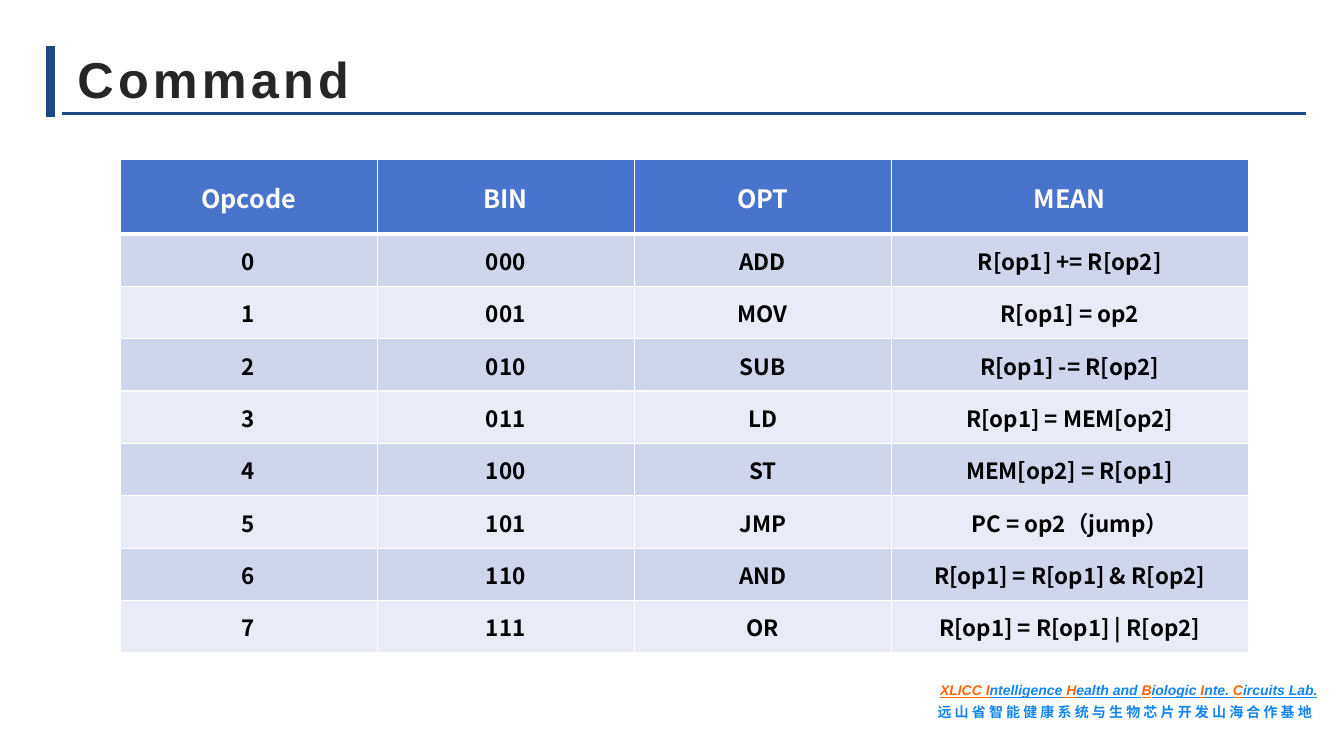
from lxml import etree
from pptx import Presentation
from pptx import util as u
from pptx.dml.color import RGBColor
from pptx.enum import shapes, text
from pptx.oxml.ns import qn

NAVY = RGBColor(0x1C, 0x48, 0x85)
INK = RGBColor(0x26, 0x26, 0x26)
ORANGE = RGBColor(0xFF, 0x66, 0x00)
SKY = RGBColor(0x11, 0x85, 0xEF)
WHITE = RGBColor(0xFF, 0xFF, 0xFF)
BLACK = RGBColor(0, 0, 0)
HEADER = RGBColor(0x48, 0x74, 0xCB)
BANDS = [RGBColor(0xE9, 0xEB, 0xF6), RGBColor(0xCF, 0xD6, 0xEC)]
SANS, CJK = "Arial", "Noto Sans CJK SC"

COLUMNS = [2.55, 2.55, 2.55, 3.54]
HEADER_H, ROW_H = 0.74, 0.52
HEADINGS = ["Opcode", "BIN", "OPT", "MEAN"]
COMMANDS = [
    ("ADD", "R[op1] += R[op2]"),
    ("MOV", "R[op1] = op2"),
    ("SUB", "R[op1] -= R[op2]"),
    ("LD", "R[op1] = MEM[op2]"),
    ("ST", "MEM[op2] = R[op1]"),
    ("JMP", "PC = op2（jump）"),
    ("AND", "R[op1] = R[op1] & R[op2]"),
    ("OR", "R[op1] = R[op1] | R[op2]"),
]
LAB_NAME = [
    ("XLICC I", "ntelligence"), (" H", "ealth and "), ("B", "iologic "),
    ("I", "nte. "), ("C", "ircuits Lab."),
]
BASE_NAME = "远山省智能健康系统与生物芯片开发山海合作基地"


def add_run(p, words, color, spacing=0, **fmt):
    r = p.add_run()
    r.text = words
    for name, value in fmt.items():
        setattr(r.font, name, value)
    r.font.color.rgb = color
    rPr = r.font._element
    if spacing:
        rPr.set("spc", str(round(spacing * 100)))
    ea = etree.SubElement(rPr, qn("a:ea"))
    ea.set("typeface", CJK)


def add_text_box(s, box):
    tf = s.shapes.add_textbox(*map(u.Inches, box)).text_frame
    tf.word_wrap = True
    return tf


def add_rule(s, x1, y1, x2, y2, width):
    rule = s.shapes.add_connector(
        shapes.MSO_CONNECTOR.STRAIGHT, *map(u.Inches, (x1, y1, x2, y2)))
    rule.line.color.rgb = NAVY
    rule.line.width = u.Pt(width)
    etree.SubElement(rule._element.spPr, qn("a:effectLst"))


def add_title(s, box):
    x, y, w, h = box
    add_rule(s, x - 0.17, y + 0.07, x - 0.17, y + h, 6)
    add_rule(s, x - 0.05, y + h - 0.03, x + w + 0.28, y + h - 0.03, 2)
    tf = add_text_box(s, box)
    tf.vertical_anchor = text.MSO_ANCHOR.MIDDLE
    add_run(tf.paragraphs[0], "Command", INK, 3,
            name=SANS, size=u.Pt(36), bold=True)


def add_borders(cell, widths):
    tcPr = cell._tc.get_or_add_tcPr()
    for side, width in zip("LRTB", widths):
        ln = etree.SubElement(tcPr, qn("a:ln" + side), w=str(u.Pt(width)))
        fill = etree.SubElement(ln, qn("a:solidFill"))
        etree.SubElement(fill, qn("a:srgbClr"), val=str(WHITE))


def add_command_table(s, box):
    rows = [HEADINGS] + [
        (str(code), f"{code:03b}", *command)
        for code, command in enumerate(COMMANDS)]
    table = s.shapes.add_table(
        len(rows), len(COLUMNS), *map(u.Inches, box)).table
    for column, width in zip(table.columns, COLUMNS):
        column.width = u.Inches(width)
    for i, row in enumerate(rows):
        table.rows[i].height = u.Inches(ROW_H if i else HEADER_H)
        for j, words in enumerate(row):
            cell = table.cell(i, j)
            add_borders(cell, (1, 1, 3 if i == 1 else 1, 1 if i else 3))
            cell.fill.solid()
            cell.fill.fore_color.rgb = BANDS[i % 2] if i else HEADER
            margin = u.Inches(0.01)
            layout = {"margin_left": margin, "margin_right": margin,
                      "margin_top": margin, "margin_bottom": 0,
                      "vertical_anchor": text.MSO_ANCHOR.MIDDLE}
            for name, value in layout.items():
                setattr(cell, name, value)
            p = cell.text_frame.paragraphs[0]
            p.alignment = text.PP_ALIGN.CENTER
            add_run(p, words, BLACK if i else WHITE,
                    name=CJK, size=u.Pt(16 if i else 18), bold=True)


def add_footer(s, box):
    tf = add_text_box(s, box)
    fmt = {"name": SANS, "size": u.Pt(10), "bold": True}
    p = tf.paragraphs[0]
    p.alignment = text.PP_ALIGN.CENTER
    for initial, rest in LAB_NAME:
        for words, color in ((initial, ORANGE), (rest, SKY)):
            add_run(p, words, color, italic=True, underline=True, **fmt)
    p = tf.add_paragraph()
    p.alignment = text.PP_ALIGN.JUSTIFY
    p.space_before = u.Pt(4)
    add_run(p, BASE_NAME, SKY, 2.3, **fmt)


def main():
    prs = Presentation()
    prs.slide_width, prs.slide_height = u.Inches(13.33), u.Inches(7.5)
    s = prs.slides.add_slide(prs.slide_layouts[6])
    add_footer(s, (9.2, 6.71, 3.99, 0.52))
    add_title(s, (0.67, 0.39, 12, 0.77))
    add_command_table(s, (1.19, 1.58, 11.19, 4.9))
    prs.save("out.pptx")


if __name__ == "__main__":
    main()
